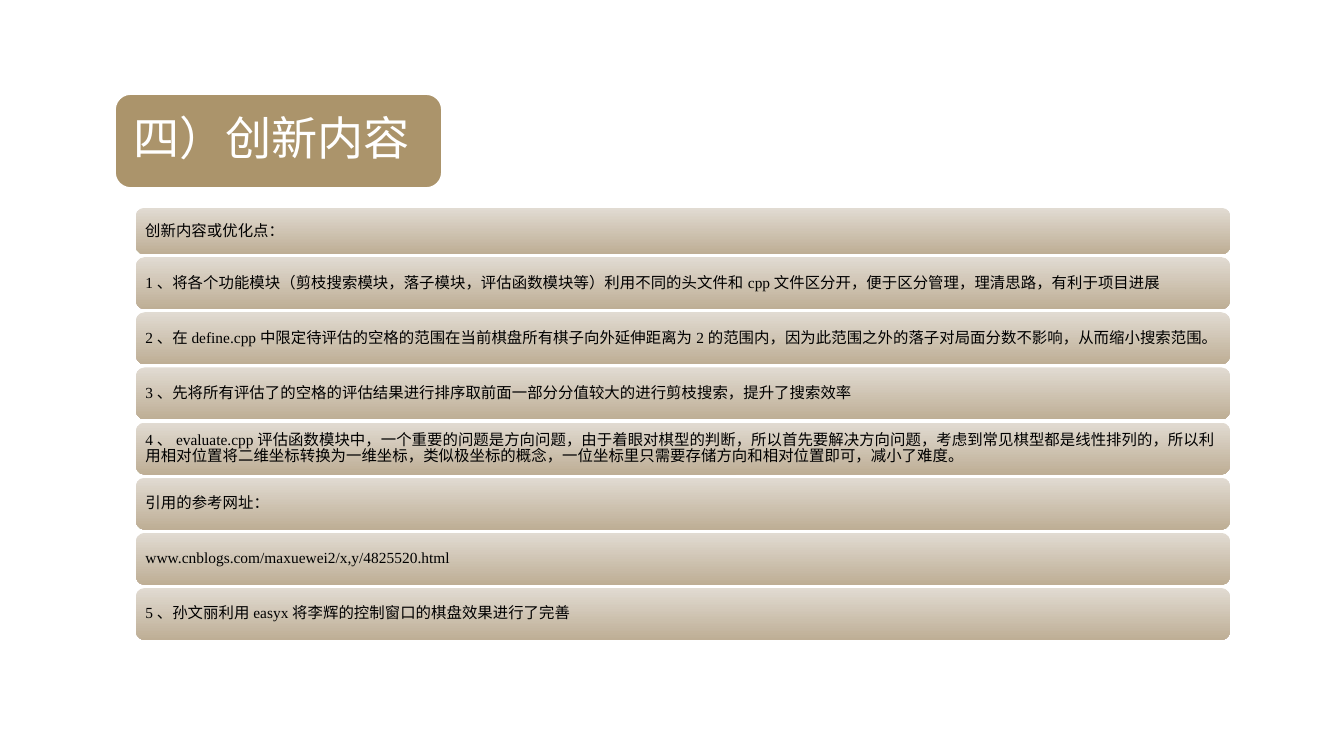
from pptx import Presentation
from pptx import util as u
from pptx.dml import color
from pptx.enum import shapes, text

PX = 914400 / 100.8
FONT = "Times New Roman"
COLOURS = {
    "badge": "AB946B",
    "bar_top": "E1DBD2",
    "bar_bottom": "BEAE95",
    "white": "FFFFFF",
    "black": "000000",
}
TITLE = "四）创新内容"
POINTS = [
    "创新内容或优化点：",
    "1、将各个功能模块（剪枝搜索模块，落子模块，评估函数模块等）利用不同的头文件和cpp文件区分开，便于区分管理，理清思路，有利于项目进展",
    "2、在define.cpp中限定待评估的空格的范围在当前棋盘所有棋子向外延伸距离为2的范围内，因为此范围之外的落子对局面分数不影响，从而缩小搜索范围。",
    "3、先将所有评估了的空格的评估结果进行排序取前面一部分分值较大的进行剪枝搜索，提升了搜索效率",
    "4、evaluate.cpp评估函数模块中，一个重要的问题是方向问题，由于着眼对棋型的判断，所以首先要解决方向问题，考虑到常见棋型都是线性排列的，所以利用相对位置将二维坐标转换为一维坐标，类似极坐标的概念，一位坐标里只需要存储方向和相对位置即可，减小了难度。",
    "引用的参考网址：",
    "www.cnblogs.com/maxuewei2/x,y/4825520.html",
    "5、孙文丽利用easyx将李辉的控制窗口的棋盘效果进行了完善",
]


def px(length):
    return u.Emu(round(length * PX))


def rgb(name):
    return color.RGBColor.from_string(COLOURS[name])


def write(shape, words, size, colour, inset):
    frame = shape.text_frame
    frame.word_wrap = True
    frame.auto_size = text.MSO_AUTO_SIZE.NONE
    frame.vertical_anchor = text.MSO_ANCHOR.MIDDLE
    frame.margin_left = frame.margin_right = px(inset)
    frame.margin_top = frame.margin_bottom = px(inset)
    para = frame.paragraphs[0]
    para.alignment = text.PP_ALIGN.LEFT
    para.line_spacing = 0.9
    span = para.add_run()
    span.text = words
    span.font.name = FONT
    span.font.size = u.Pt(size)
    span.font.color.rgb = rgb(colour)


def add_rounded(page, left, top, width, height):
    box = page.shapes.add_shape(
        shapes.MSO_SHAPE.ROUNDED_RECTANGLE,
        px(left), px(top), px(width), px(height))
    box.shadow.inherit = False
    return box


def add_heading(page, left, top, width, height):
    badge = add_rounded(page, left, top, width, height)
    badge.fill.solid()
    badge.fill.fore_color.rgb = rgb("badge")
    badge.line.color.rgb = rgb("white")
    badge.line.width = u.Pt(1.25)

    title = page.shapes.title
    margin = 4
    title.left, title.top = px(left + margin), px(top + margin)
    title.width, title.height = px(width - 2 * margin), px(height - 2 * margin)
    write(title, TITLE, size=33, colour="white", inset=14)
    title.element.addprevious(badge.element)


def add_points(page, left, top, width, height):
    heights = [46] + [52] * (len(POINTS) - 1)
    gap = (height - sum(heights)) / (len(POINTS) - 1)
    for words, bar_height in zip(POINTS, heights):
        bar = add_rounded(page, left, top, width, bar_height)
        bar.fill.gradient()
        bar.fill.gradient_angle = 270
        for stop, name in zip(bar.fill.gradient_stops, ("bar_top", "bar_bottom")):
            stop.color.rgb = rgb(name)
        bar.line.fill.background()
        write(bar, words, size=11, colour="black", inset=7)
        top += bar_height + gap


def main():
    deck = Presentation()
    deck.slide_width, deck.slide_height = px(1344), px(756)
    page = deck.slides.add_slide(deck.slide_layouts.get_by_name("Title Only"))
    add_heading(page, 115, 94, 327, 94)
    add_points(page, 136, 208, 1094, 432)
    deck.save("out.pptx")


if __name__ == "__main__":
    main()
